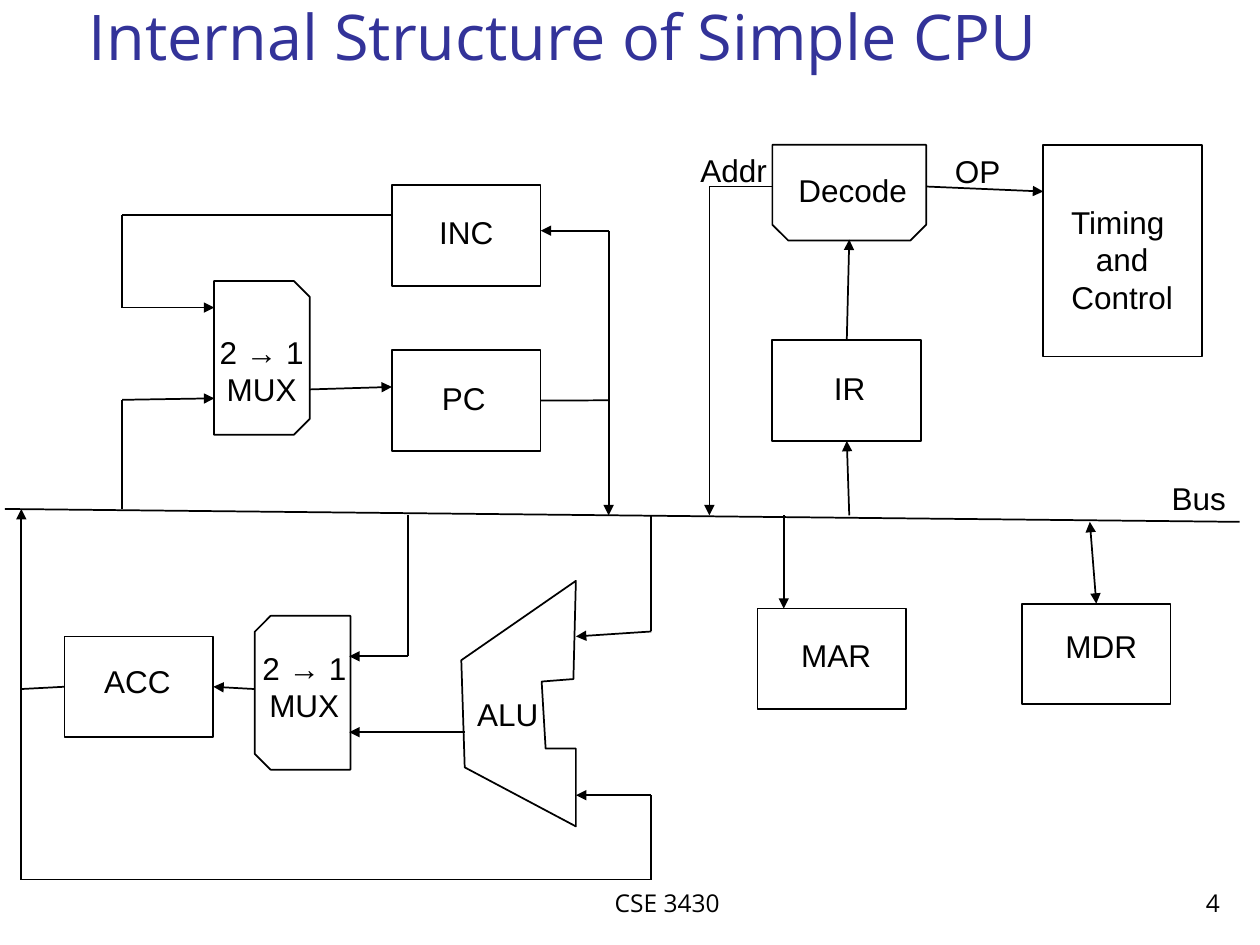
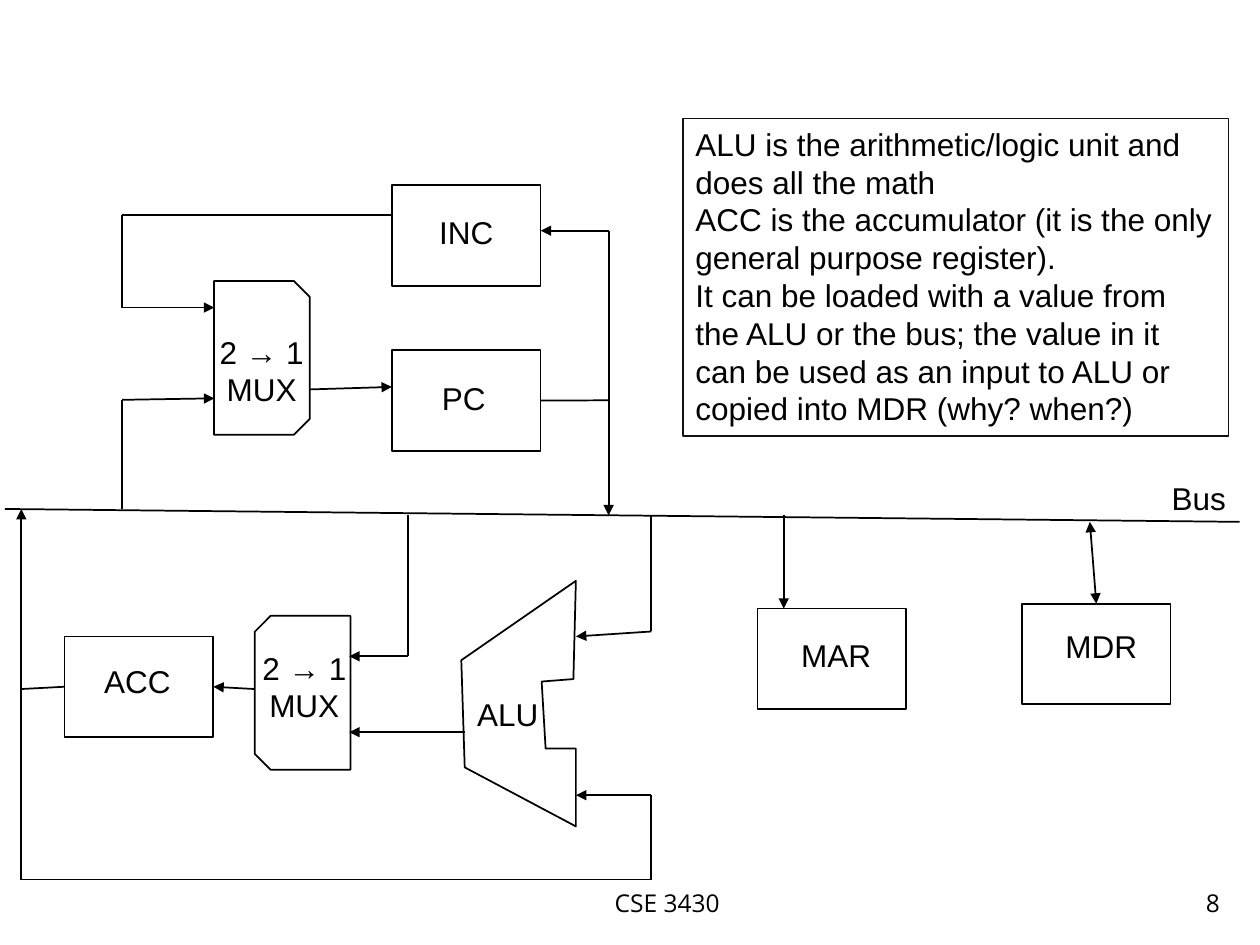
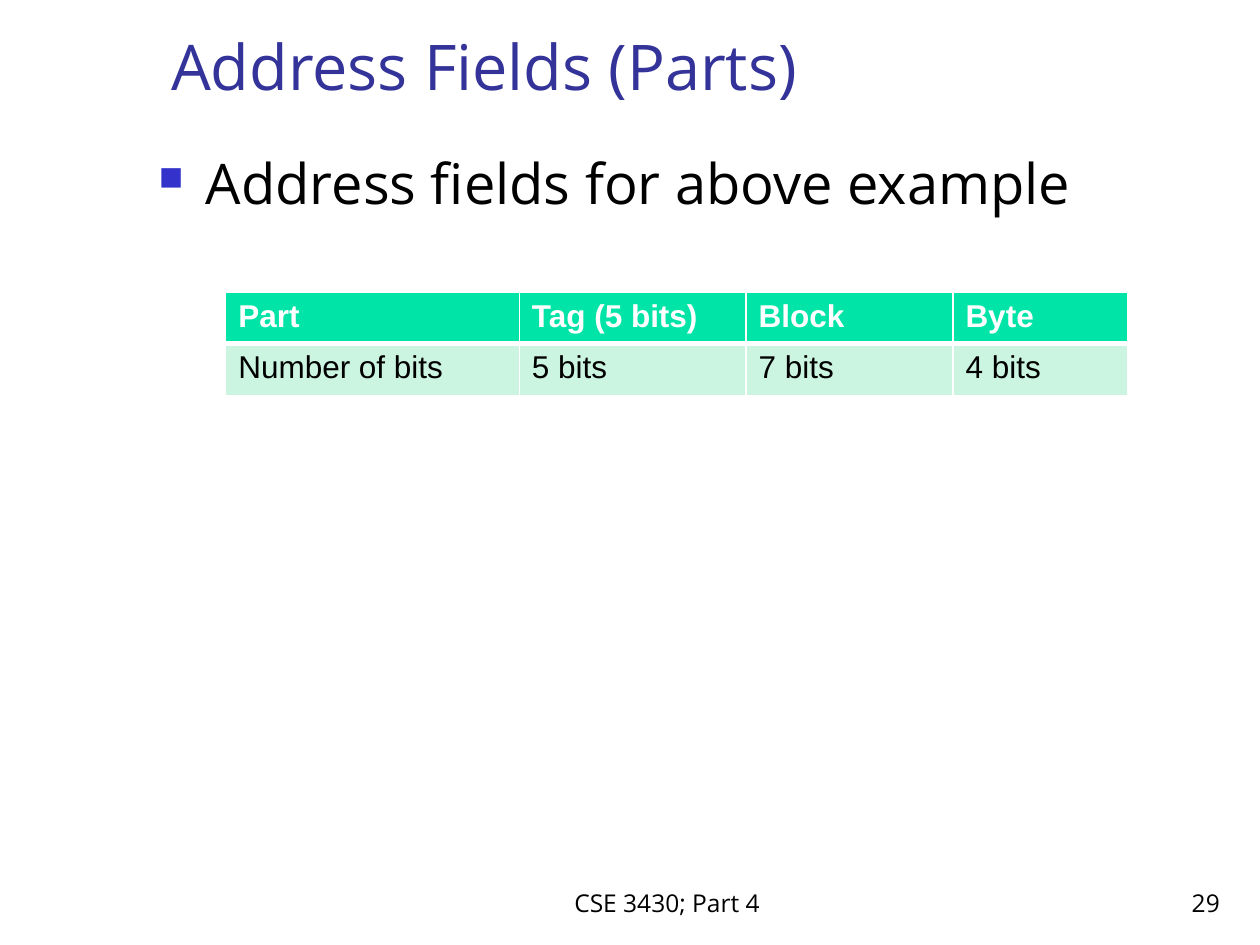
from typing import NamedTuple

from lxml import etree
from pptx import Presentation
from pptx import util as u
from pptx.dml.color import RGBColor
from pptx.enum import shapes, text
from pptx.oxml.ns import qn

BLACK, WHITE = "000000", "FFFFFF"
TITLE_BLUE, BULLET_BLUE = "333399", "3333CC"
HEADER_GREEN, ROW_GREEN = "00E4A8", "CCF5E1"
NOTE_EDGE = "111111"
DIAGRAM_FONT, SLIDE_FONT = "Arial", "Open Sans"
LEFT, CENTER, RIGHT = text.PP_ALIGN.LEFT, text.PP_ALIGN.CENTER, text.PP_ALIGN.RIGHT
TOP, BOTTOM = text.MSO_ANCHOR.TOP, text.MSO_ANCHOR.BOTTOM
RECT = shapes.MSO_SHAPE.RECTANGLE
SNIPPED = shapes.MSO_SHAPE.SNIP_2_SAME_RECTANGLE
TOP_SIDE, LEFT_SIDE, BOTTOM_SIDE, RIGHT_SIDE = range(4)


class Place(NamedTuple):
    """Left, top, width and height in centimetres."""
    left: float
    top: float
    width: float
    height: float

    def lengths(self) -> list:
        return [u.Cm(value) for value in self]


class Unit(NamedTuple):
    name: str
    place: Place
    kind: int = RECT
    rotation: int = 0


class Label(NamedTuple):
    lines: str
    left: float
    top: float
    width: float
    height: float = 1.02
    align: int = CENTER


class Port(NamedTuple):
    """The middle of one side of a named unit."""
    unit: str
    side: int


class Wire(NamedTuple):
    """A chain of straight lines through points or ports."""
    stops: list
    arrow: bool = True
    both: bool = False


class Circuit(NamedTuple):
    units: list
    labels: list
    wires: list


def register(name: str, left: float, top: float) -> Unit:
    return Unit(name, Place(left, top, 3.0, 2.03))


def snipped(name: str, left: float, top: float, rotation: int) -> Unit:
    return Unit(name, Place(left, top, 3.1, 1.93), SNIPPED, rotation)


ALU_OUTLINE = [(9.3, 13.31), (11.61, 11.71), (11.56, 13.69), (10.92, 13.74),
               (11.0, 15.09), (11.61, 15.09), (11.61, 16.66), (9.37, 15.47)]

# Heights where wires meet the sloping bus, and columns shared by several wires
BUS_LEFT, BUS_MIDDLE, BUS_RIGHT = 10.26, 10.39, 10.52
RETURN_X, LOOP_X, RISER_X, ALU_X = 0.43, 2.46, 12.27, 13.13
RETURN_Y = 17.73

DATAPATH = Circuit(
    units=[
        register("MAR", 15.27, 12.27),
        register("MDR", 20.6, 12.17),
        register("INC", 7.9, 3.73),
        register("PC", 7.9, 7.06),
        register("ACC", 1.3, 12.83),
        snipped("PC MUX", 3.73, 6.25, 90),
        snipped("ACC MUX", 4.55, 13.0, 270),
    ],
    labels=[
        Label("Bus", 23.37, 9.53, 1.7, align=LEFT),
        Label("MAR", 15.47, 12.7, 2.77),
        Label("MDR", 20.6, 12.52, 3.2),
        Label("INC", 7.9, 4.17, 3.0),
        Label("PC", 8.23, 7.52, 2.24),
        Label("ACC", 1.6, 13.23, 2.34),
        Label("ALU", 9.37, 13.89, 2.34, align=LEFT),
        Label("2 → 1\nMUX", 3.84, 6.58, 2.87, 1.8),
        Label("2 → 1\nMUX", 4.7, 12.95, 2.87, 1.8),
    ],
    wires=[
        Wire([(0.1, BUS_LEFT), (24.99, BUS_RIGHT)], arrow=False),
        Wire([(21.97, BUS_RIGHT), Port("MDR", TOP_SIDE)], both=True),
        Wire([(15.8, BUS_MIDDLE), (15.8, 12.27)]),
        Wire([(7.9, 4.34), (LOOP_X, 4.34), (LOOP_X, 6.2), (4.32, 6.2)]),
        Wire([(LOOP_X, BUS_LEFT), (LOOP_X, 8.06), (4.32, 8.03)]),
        Wire([(6.25, 7.85), (7.9, 7.8)]),
        Wire([(RISER_X, 4.65), (RISER_X, BUS_MIDDLE)]),
        Wire([(RISER_X, 4.65), (10.9, 4.65)]),
        Wire([Port("PC", RIGHT_SIDE), (RISER_X, 8.07)], arrow=False),
        Wire([(ALU_X, BUS_MIDDLE), (ALU_X, 12.73), (11.61, 12.83)]),
        Wire([(8.23, BUS_MIDDLE), (8.23, 13.23), (7.04, 13.23)]),
        Wire([(9.37, 14.76), (7.04, 14.76)]),
        Wire([(5.13, 13.89), Port("ACC", RIGHT_SIDE)]),
        Wire([(RETURN_X, RETURN_Y), (RETURN_X, BUS_LEFT)]),
        Wire([(RETURN_X, 13.89), Port("ACC", LEFT_SIDE)], arrow=False),
        Wire([(RETURN_X, RETURN_Y), (ALU_X, RETURN_Y), (ALU_X, 16.03), (11.61, 16.03)]),
    ],
)

DECODER = Circuit(
    units=[
        snipped("Decode", 15.57, 2.92, 180),
        Unit("Timing", Place(21.03, 2.92, 3.2, 4.27)),
        register("IR", 15.57, 6.86),
    ],
    labels=[
        Label("Decode", 15.27, 3.33, 3.84),
        Label("Timing \nand\nControl", 20.27, 3.96, 4.7, 2.57),
        Label("IR", 15.9, 7.32, 2.46),
        Label("OP", 19.0, 2.95, 1.5, align=LEFT),
        Label("Addr", 13.87, 2.92, 1.93, align=LEFT),
    ],
    wires=[
        Wire([(18.67, 3.76), (21.03, 3.86)]),
        Wire([(15.57, 3.76), (14.3, 3.76), (14.3, BUS_MIDDLE)]),
        Wire([Port("IR", TOP_SIDE), (17.12, 4.83)]),
        Wire([(17.12, BUS_MIDDLE), Port("IR", BOTTOM_SIDE)]),
    ],
)

NOTE = ("ALU is the arithmetic/logic unit and does all the math\n"
        "ACC is the accumulator (it is the only general purpose register).\n"
        "It can be loaded with a value from the ALU or the bus; the value in it "
        "can be used as an input to ALU or copied into MDR (why? when?)")

FIELD_ROWS = [["Part", "Tag (5 bits)", "Block", "Byte"],
              ["Number of bits", "5 bits", "7 bits", "4 bits"]]
FIELD_WIDTHS = [5.92, 4.57, 4.17, 3.53]
FIELD_HEIGHT = 1.04


def rgb(color: str) -> RGBColor:
    return RGBColor.from_string(color)


def write(frame, lines: str, *, size=18, font=DIAGRAM_FONT, color=BLACK,
          bold=False, align=LEFT, anchor=TOP) -> None:
    """Fill a text frame, one paragraph for each line."""
    frame.word_wrap = True
    frame.vertical_anchor = anchor
    for index, line in enumerate(lines.split("\n")):
        para = frame.paragraphs[0] if index == 0 else frame.add_paragraph()
        para.alignment = align
        span = para.add_run()
        span.text = line
        span.font.size = u.Pt(size)
        span.font.name = font
        span.font.bold = bold
        span.font.color.rgb = rgb(color)


def add_text(page, place: Place, lines: str, **style):
    box = page.shapes.add_textbox(*place.lengths())
    write(box.text_frame, lines, **style)
    return box


def outline(shape, color: str = BLACK, width: float = 1) -> None:
    shape.shadow.inherit = False
    shape.fill.background()
    shape.line.color.rgb = rgb(color)
    shape.line.width = u.Pt(width)


def add_unit(page, unit: Unit):
    shape = page.shapes.add_shape(unit.kind, *unit.place.lengths())
    shape.rotation = unit.rotation
    outline(shape)
    return shape


def add_alu(page) -> None:
    start, *rest = [(u.Cm(x), u.Cm(y)) for x, y in ALU_OUTLINE]
    builder = page.shapes.build_freeform(*start)
    builder.add_line_segments(rest, close=True)
    outline(builder.convert_to_shape())


def add_segment(page, start, end, drawn: dict, heads: list) -> None:
    """Draw one line; heads names its arrowheads, headEnd before tailEnd."""
    points = [(0, 0) if isinstance(stop, Port) else stop for stop in (start, end)]
    line = page.shapes.add_connector(
        shapes.MSO_CONNECTOR.STRAIGHT,
        *[u.Cm(value) for point in points for value in point])
    if isinstance(start, Port):
        line.begin_connect(drawn[start.unit], start.side)
    if isinstance(end, Port):
        line.end_connect(drawn[end.unit], end.side)
    line.line.color.rgb = rgb(BLACK)
    line.line.width = u.Pt(1)
    stroke = line.line._get_or_add_ln()
    for head in heads:
        etree.SubElement(stroke, qn(f"a:{head}"), type="triangle")
    etree.SubElement(line._element.spPr, qn("a:effectLst"))


def add_wire(page, wire: Wire, drawn: dict) -> None:
    last = len(wire.stops) - 2
    for index, (start, end) in enumerate(zip(wire.stops, wire.stops[1:])):
        heads = ["headEnd"] if wire.both and index == 0 else []
        if wire.arrow and index == last:
            heads.append("tailEnd")
        add_segment(page, start, end, drawn, heads)


def add_circuit(page, circuit: Circuit) -> None:
    drawn = {unit.name: add_unit(page, unit) for unit in circuit.units}
    for wire in circuit.wires:
        add_wire(page, wire, drawn)
    for label in circuit.labels:
        place = Place(label.left, label.top, label.width, label.height)
        add_text(page, place, label.lines, align=label.align)


def add_datapath(page) -> None:
    add_alu(page)
    add_circuit(page, DATAPATH)


def add_title(page, place: Place, title: str, align=LEFT) -> None:
    add_text(page, place, title, size=36, font=SLIDE_FONT, color=TITLE_BLUE,
             align=align, anchor=BOTTOM)


def add_page(deck, footer: str, number: int):
    page = deck.slides.add_slide(deck.slide_layouts[6])
    style = dict(size=14, font=SLIDE_FONT, anchor=BOTTOM)
    add_text(page, Place(6.3, 17.32, 14.3, 1.3), footer, align=CENTER, **style)
    add_text(page, Place(19.56, 17.35, 5.28, 1.27), str(number), align=RIGHT, **style)
    return page


def add_bullet(page, place: Place, line: str) -> None:
    box = add_text(page, place, line, size=32, font=SLIDE_FONT)
    para = box.text_frame.paragraphs[0]
    para.space_before = u.Pt(6.4)
    props = para._p.get_or_add_pPr()
    indent = u.Cm(0.95)
    props.set("marL", str(indent))
    props.set("indent", str(-indent))
    color = etree.SubElement(props, qn("a:buClr"))
    etree.SubElement(color, qn("a:srgbClr"), val=BULLET_BLUE)
    etree.SubElement(props, qn("a:buSzPct"), val="60000")
    etree.SubElement(props, qn("a:buChar"), char="■")


def set_border(cell, side: str, width: float) -> None:
    line = etree.SubElement(cell._tc.get_or_add_tcPr(), qn(f"a:ln{side}"),
                            w=str(u.Pt(width)))
    fill = etree.SubElement(line, qn("a:solidFill"))
    etree.SubElement(fill, qn("a:srgbClr"), val=WHITE)


def add_field_table(page) -> None:
    place = Place(4.55, 5.89, sum(FIELD_WIDTHS), FIELD_HEIGHT * len(FIELD_ROWS))
    table = page.shapes.add_table(len(FIELD_ROWS), len(FIELD_WIDTHS),
                                  *place.lengths()).table
    table.first_row = table.horz_banding = False
    for column, width in zip(table.columns, FIELD_WIDTHS):
        column.width = u.Cm(width)
    for row, values in enumerate(FIELD_ROWS):
        header = row == 0
        table.rows[row].height = u.Cm(FIELD_HEIGHT)
        for column, value in enumerate(values):
            cell = table.cell(row, column)
            thick_side = "B" if header else "T"
            for side in "LRTB":
                set_border(cell, side, 3 if side == thick_side else 1)
            cell.fill.solid()
            cell.fill.fore_color.rgb = rgb(HEADER_GREEN if header else ROW_GREEN)
            write(cell.text_frame, value, bold=header,
                  color=WHITE if header else BLACK)


def build_structure(deck) -> None:
    page = add_page(deck, "CSE 3430", 4)
    add_datapath(page)
    add_circuit(page, DECODER)
    add_title(page, Place(1.17, 0, 20.7, 1.6), "Internal Structure of Simple CPU ", CENTER)


def build_alu_note(deck) -> None:
    page = add_page(deck, "CSE 3430", 8)
    add_datapath(page)
    note = page.shapes.add_shape(RECT, *Place(13.77, 2.39, 11.0, 6.4).lengths())
    outline(note, NOTE_EDGE, 0.75)
    write(note.text_frame, NOTE)


def build_address_fields(deck) -> None:
    page = add_page(deck, "CSE 3430; Part 4", 29)
    add_title(page, Place(3.2, 0.36, 21.23, 1.85), "Address Fields (Parts)")
    add_bullet(page, Place(2.95, 2.87, 21.69, 14.22), "Address fields for above example")
    add_field_table(page)


def main() -> None:
    deck = Presentation()
    deck.slide_width, deck.slide_height = u.Cm(25.4), u.Cm(19.05)
    build_structure(deck)
    build_alu_note(deck)
    build_address_fields(deck)
    deck.save("out.pptx")


if __name__ == "__main__":
    main()
